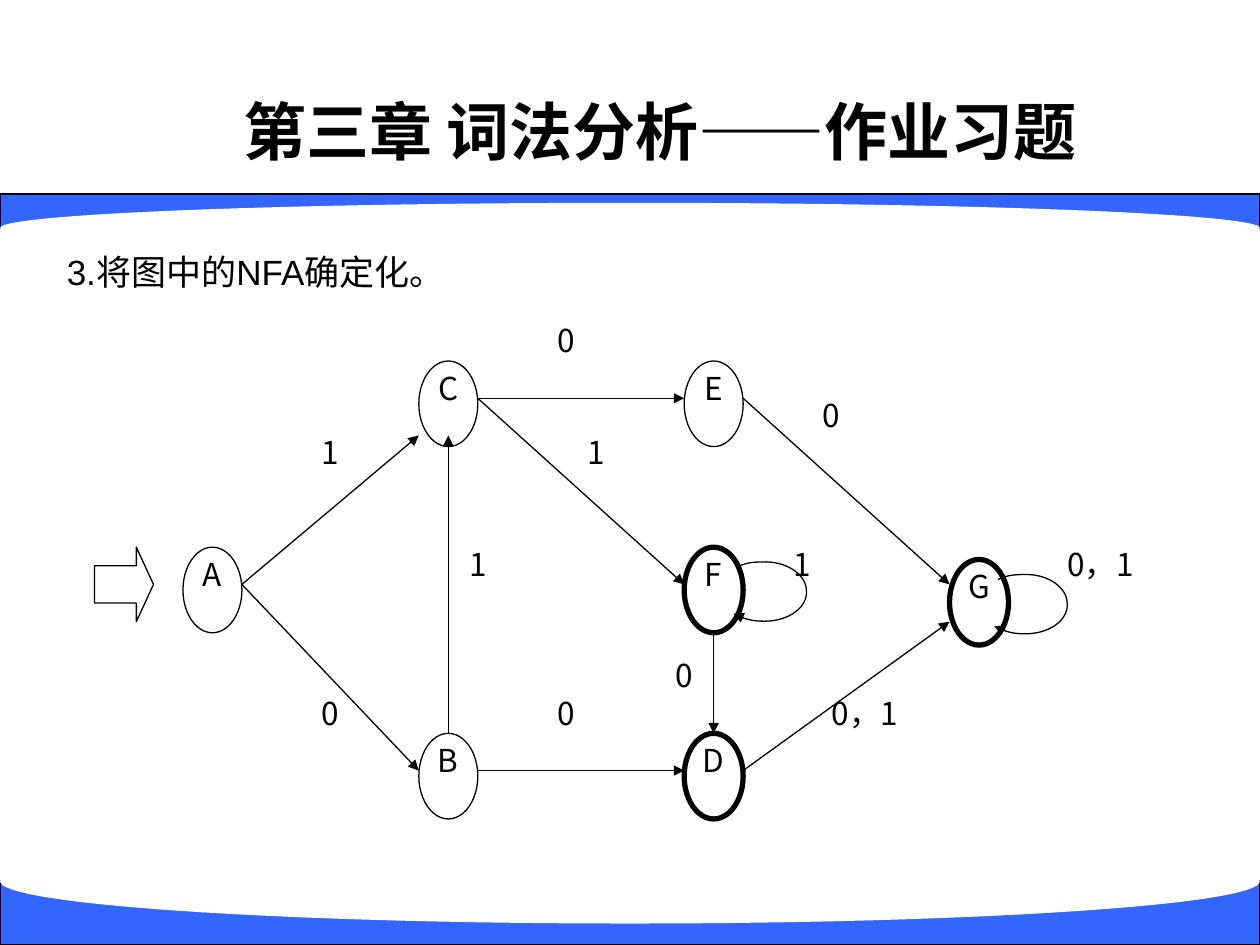
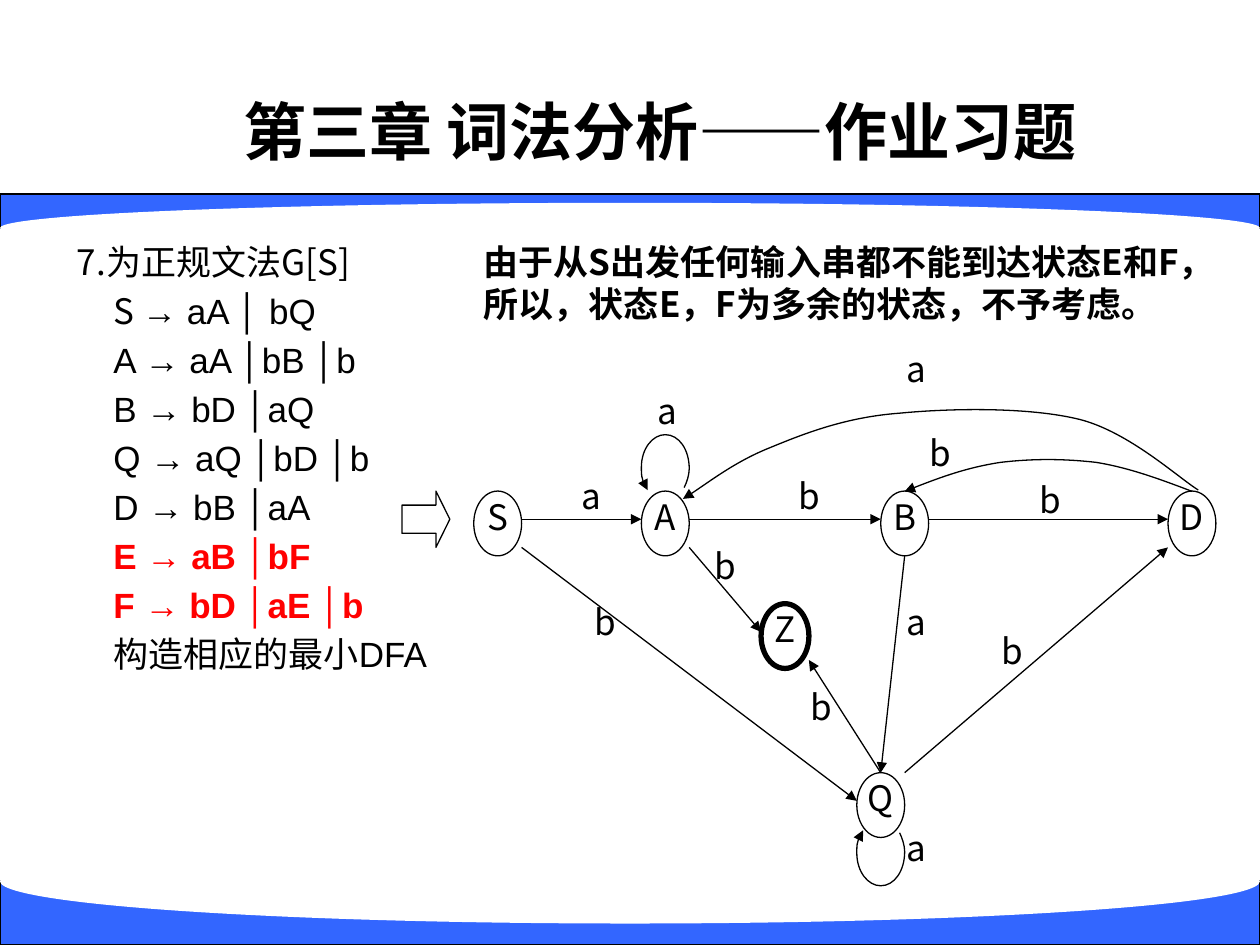
from lxml import etree
from pptx import Presentation
from pptx.dml.color import RGBColor
from pptx.enum.shapes import MSO_CONNECTOR, MSO_SHAPE
from pptx.enum.text import MSO_ANCHOR, MSO_AUTO_SIZE, PP_ALIGN
from pptx.oxml.ns import qn
from pptx.util import Inches, Pt

OVAL, RECTANGLE, ARROW = MSO_SHAPE.OVAL, MSO_SHAPE.RECTANGLE, MSO_SHAPE.RIGHT_ARROW
STRAIGHT = MSO_CONNECTOR.STRAIGHT
LEFT, CENTER = PP_ALIGN.LEFT, PP_ALIGN.CENTER
TOP, MIDDLE = MSO_ANCHOR.TOP, MSO_ANCHOR.MIDDLE
NO_FIT = MSO_AUTO_SIZE.NONE

COLORS = {"ink": "000000", "paper": "FFFFFF", "band": "3366FF", "surplus": "FF0000"}
LATIN, CJK = "Arial", "Noto Sans CJK SC"
WIDTH, HEIGHT = 10, 7.5
THIN, THICK = 0.75, 3

# ---- Content ----
TITLE = "第三章 词法分析——作业习题"
TITLE_BOX = (0.99, 0.7, 8.5, 0.67)

# Bands: shape, top, height, fill, outlined
BANDS = [
    (RECTANGLE, 1.54, 0.27, "band", True),
    (OVAL, 1.61, 0.4, "paper", False),
    (RECTANGLE, 6.99, 0.51, "band", True),
    (OVAL, 6.66, 0.67, "paper", False),
]

# Paragraphs are lists of (text, font, colour, bold) runs
NFA_TASK = [[("3.将图中的NFA确定化。", LATIN, "ink", False)]]
GRAMMAR_TASK = [
    [("7.为正规文法G[S]", CJK, "ink", False)],
    [("S ", CJK, "ink", False), ("→ aA │ bQ", LATIN, "ink", False)],
    *[[(rule, LATIN, "ink", False)] for rule in (
        "A → aA │bB │b", "B → bD │aQ", "Q → aQ │bD │b", "D → bB │aA")],
    *[[(rule, LATIN, "surplus", True)] for rule in (
        "E → aB │bF", "F → bD │aE │b")],
    [("构造相应的最小DFA", LATIN, "ink", False)],
]
REMARK = [[("由于从S出发任何输入串都不能到达状态E和F，所以，"
            "状态E，F为多余的状态，不予考虑。", CJK, "ink", True)]]

# Outlines as cubic curves, in inches from their starting point
SIDE_LOOP = [(0, 0), (0.06, -0.03), (0.12, -0.04), (0.2, -0.04),
             (0.39, -0.05), (0.55, 0.06), (0.55, 0.19),
             (0.56, 0.32), (0.41, 0.43), (0.22, 0.43),
             (0.13, 0.43), (0.04, 0.41), (-0.03, 0.37)]
TOP_LOOP = [(0, 0), (0.02, -0.04), (0.04, -0.1), (0.04, -0.15),
            (0.04, -0.3), (-0.04, -0.42), (-0.15, -0.42),
            (-0.25, -0.42), (-0.34, -0.31), (-0.34, -0.16),
            (-0.34, -0.09), (-0.33, -0.03), (-0.29, 0.02)]
BOTTOM_LOOP = [(x, -y) for x, y in TOP_LOOP]
D_TO_B = [(0, 0), (-0.26, -0.1), (-0.51, -0.19), (-0.76, -0.23),
          (-1.02, -0.26), (-1.27, -0.26), (-1.52, -0.23),
          (-1.78, -0.19), (-2.03, -0.1), (-2.28, 0)]
D_TO_A = [(0, 0), (-0.16, -0.1), (-0.55, -0.46), (-0.94, -0.56),
          (-1.34, -0.66), (-1.96, -0.65), (-2.37, -0.61),
          (-2.78, -0.58), (-3.1, -0.46), (-3.39, -0.34),
          (-3.67, -0.23), (-3.94, -0.02), (-4.09, 0.07)]

# Automata: states, edges and labels in columns and rows of each one's grid
NFA = {
    "origin": (0.75, 2.57), "cell": (0.234, 0.2955), "size": 18,
    "start": (0, 6),
    "states": {"A": (3, 6), "B": (11, 11), "C": (11, 1), "D": (20, 11),
               "E": (20, 1), "F": (20, 6), "G": (29, 6.33)},
    "final": "DFG",
    "edges": [((5, 7), (11, 12)), ((5, 7), (11, 3)), ((13, 12), (20, 12)),
              ((12, 11), (12, 3)), ((13, 2), (20, 2)), ((13, 2), (20, 7)),
              ((22, 12), (29, 8)), ((22, 2), (29, 7)), ((21, 8.3), (21, 11))],
    "curves": [((5.85, 4.5), SIDE_LOOP), ((7.92, 4.6), SIDE_LOOP)],
    "label_columns": 2,
    "labels": {"0": [(7, 10), (15, 10), (15, 0), (24, 2), (19, 9)],
               "1": [(7, 3), (12, 6), (16, 3), (23, 6)],
               "0，1": [(25, 10), (33, 6)]},
}
DFA = {
    "origin": (3.19, 2.78), "cell": (0.19, 0.2235), "size": 20,
    "start": (0, 5),
    "states": {"S": (3, 5), "A": (10, 5), "B": (20, 5), "D": (32, 5),
               "Q": (19, 15), "Z": (15, 9)},
    "final": "Z",
    "edges": [((5, 6), (10, 6)), ((12, 6), (20, 6)), ((22, 6), (32, 6)),
              ((5, 7), (19, 16)), ((12, 7), (15, 10)), ((20, 15), (17, 11)),
              ((21, 7.3), (20, 15)), ((21, 15), (32, 7))],
    "curves": [((5.43, 3.87), TOP_LOOP), ((7.14, 6.61), BOTTOM_LOOP),
               ((9.46, 3.9), D_TO_B), ((9.51, 3.89), D_TO_A)],
    "label_columns": 1,
    "labels": {"a": [(7.4, 4.5), (21, 0), (21, 17), (21, 9), (10.6, 1.5)],
               "b": [(16.5, 4.5), (26.6, 4.65), (22, 3), (25, 10),
                     (8, 9), (13, 7), (17, 12)]},
}


# ---- Helpers ----
def color(name):
    return RGBColor.from_string(COLORS[name])


def place(shape, box):
    shape.left, shape.top, shape.width, shape.height = map(Inches, box)


def add_span(para, text, font, size, ink="ink", bold=False):
    span = para.add_run()
    span.text = text
    span.font.name, span.font.size, span.font.bold = font, Pt(size), bold
    span.font.color.rgb = color(ink)
    east_asian = etree.Element(qn("a:ea"), typeface=CJK)
    span.font._element.find(qn("a:latin")).addnext(east_asian)


def prepare_frame(shape, anchor=TOP, inset=None):
    frame = shape.text_frame
    frame.word_wrap, frame.auto_size = True, NO_FIT
    frame.vertical_anchor = anchor
    if inset is not None:
        frame.margin_left = frame.margin_right = Inches(inset)
        frame.margin_top = frame.margin_bottom = Inches(inset)
    return frame


def fill_paragraphs(shape, paragraphs, indent=0):
    frame = prepare_frame(shape)
    for index, spans in enumerate(paragraphs):
        para = frame.paragraphs[0] if index == 0 else frame.add_paragraph()
        properties = para._p.get_or_add_pPr()
        properties.set("marL", str(Inches(indent)))
        properties.set("indent", str(Inches(0 if index else -indent)))
        etree.SubElement(properties, qn("a:buNone"))
        para.alignment = LEFT
        para.line_spacing = Pt(24)
        para.space_before = Pt(4 if index else 0)
        for text, font, ink, bold in spans:
            add_span(para, text, font, 20, ink, bold)


def write_symbol(shape, text, size, spacing, align=CENTER):
    para = prepare_frame(shape, inset=0).paragraphs[0]
    para.alignment = align
    para.line_spacing = spacing
    add_span(para, text, CJK, size)


def add_filled(slide, preset, box, fill="paper", weight=THIN):
    shape = slide.shapes.add_shape(preset, *map(Inches, box))
    shape.shadow.inherit = False
    shape.fill.solid()
    shape.fill.fore_color.rgb = color(fill)
    if weight:
        shape.line.color.rgb = color("ink")
        shape.line.width = Pt(weight)
    else:
        shape.line.fill.background()
    return shape


def style_arrow(shape):
    shape.line.color.rgb = color("ink")
    shape.line.width = Pt(THIN)
    line = shape.line._get_or_add_ln()
    etree.SubElement(line, qn("a:tailEnd"), type="triangle")


def add_edge(slide, start, end):
    edge = slide.shapes.add_connector(STRAIGHT, *map(Inches, (*start, *end)))
    style_arrow(edge)
    etree.SubElement(edge._element.spPr, qn("a:effectLst"))


def add_curve(slide, start, controls):
    points = [(Inches(start[0] + x), Inches(start[1] + y)) for x, y in controls]
    builder = slide.shapes.build_freeform(*points[0])
    builder.add_line_segments(points[1:], close=False)
    curve = builder.convert_to_shape()
    # Every three segments become one cubic curve
    segments = list(curve._element.iter(qn("a:lnTo")))
    outline = segments[0].getparent()
    for first in range(0, len(segments), 3):
        cubic = etree.SubElement(outline, qn("a:cubicBezTo"))
        for segment in segments[first:first + 3]:
            cubic.append(segment[0])
            outline.remove(segment)
    curve.shadow.inherit = False
    curve.fill.background()
    style_arrow(curve)


def draw_automaton(slide, graph):
    (left, top), (column, row) = graph["origin"], graph["cell"]

    def at(cell):
        return left + cell[0] * column, top + cell[1] * row

    # Start arrow and states
    arrow = add_filled(slide, ARROW, (*at(graph["start"]), 2 * column, 2 * row))
    arrow.adjustments[0], arrow.adjustments[1] = 0.5, 0.29
    for name, cell in graph["states"].items():
        weight = THICK if name in graph["final"] else THIN
        box = (*at(cell), 2 * column, 2.3 * row)
        state = add_filled(slide, OVAL, box, weight=weight)
        write_symbol(state, name, graph["size"], 0.88)

    # Transitions
    for start, end in graph["edges"]:
        add_edge(slide, at(start), at(end))
    for start, controls in graph["curves"]:
        add_curve(slide, start, controls)

    # Input symbols
    for symbol, cells in graph["labels"].items():
        single = len(symbol) == 1
        columns = graph["label_columns"] if single else 3
        for cell in cells:
            box = (*at(cell), columns * column, 0.02 * graph["size"])
            label = slide.shapes.add_textbox(*map(Inches, box))
            write_symbol(label, symbol, graph["size"], 0.96, CENTER if single else LEFT)


def add_bands(slide, layout):
    for index, (preset, top, height, fill, outlined) in enumerate(BANDS):
        band = add_filled(slide, preset, (0, top, WIDTH, height), fill,
                          THIN if outlined else 0)
        layout.shapes.element.insert(2 + index, band._element)


def add_exercise(deck, task, box, indent, graph):
    slide = deck.slides.add_slide(deck.slide_layouts[1])
    para = prepare_frame(slide.shapes.title, MIDDLE).paragraphs[0]
    para.alignment = CENTER
    add_span(para, TITLE, LATIN, 36, bold=True)
    body = slide.placeholders[1]
    place(body, box)
    fill_paragraphs(body, task, indent)
    draw_automaton(slide, graph)
    return slide


def main():
    deck = Presentation()
    deck.slide_width, deck.slide_height = Inches(WIDTH), Inches(HEIGHT)
    layout = deck.slide_layouts[1]
    place(layout.placeholders[0], TITLE_BOX)

    nfa_slide = add_exercise(deck, NFA_TASK, (0.43, 1.94, 9.06, 0.87), 0.19, NFA)
    add_bands(nfa_slide, layout)

    dfa_slide = add_exercise(deck, GRAMMAR_TASK, (0.51, 1.86, 3.86, 4.02), 0.29, DFA)
    remark = dfa_slide.shapes.add_textbox(*map(Inches, (3.74, 1.86, 6.02, 0.92)))
    fill_paragraphs(remark, REMARK)

    deck.save("out.pptx")


if __name__ == "__main__":
    main()
